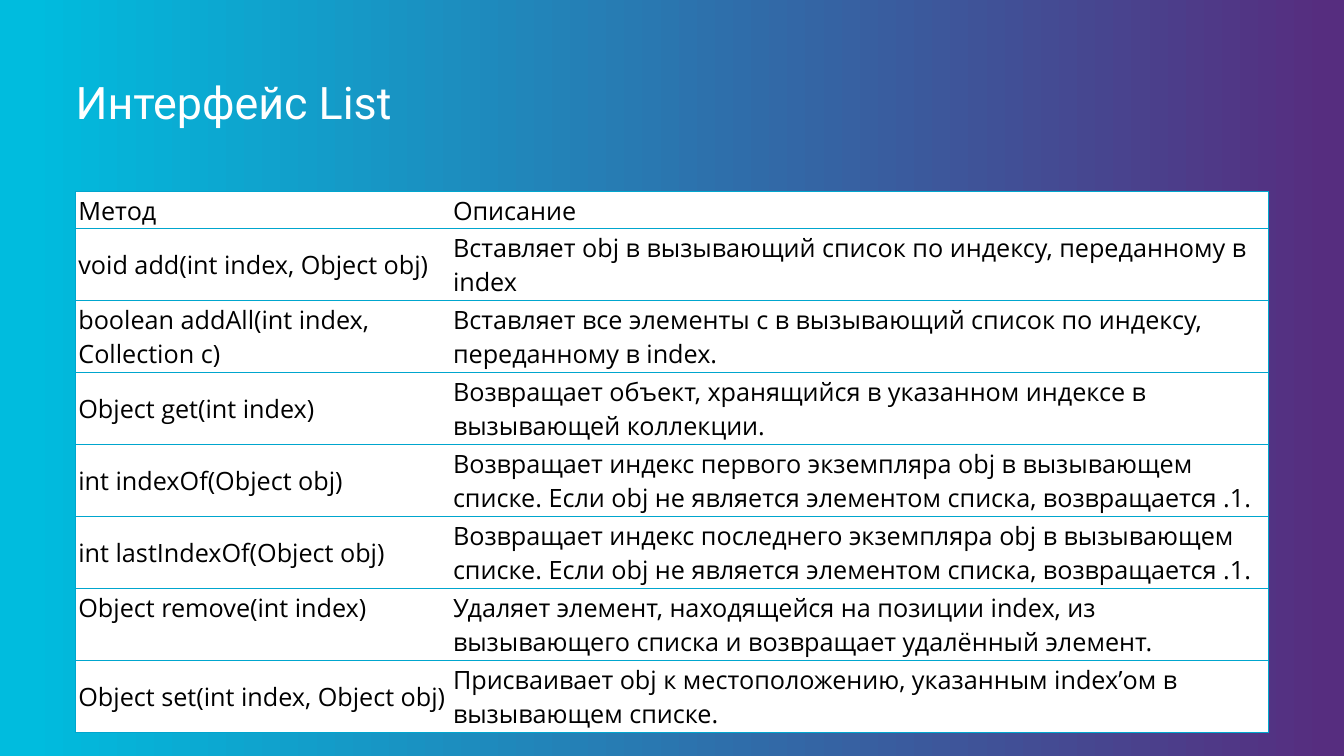
from lxml.etree import SubElement
from pptx import Presentation
from pptx.dml.color import RGBColor
from pptx.enum.text import MSO_ANCHOR
from pptx.oxml.ns import qn
from pptx.util import Pt

LINE = "00A6CE"
ROWS = [
    ("Метод", "Описание"),
    ("void add(int index, Object obj)",
     "Вставляет obj в вызывающий список по индексу, переданному в index"),
    ("boolean addAll(int index, Collection c)",
     "Вставляет все элементы c в вызывающий список по индексу, переданному в index."),
    ("Object get(int index)",
     "Возвращает объект, хранящийся в указанном индексе в вызывающей коллекции."),
    ("int indexOf(Object obj)",
     "Возвращает индекс первого экземпляра obj в вызывающем списке. "
     "Если obj не является элементом списка, возвращается .1."),
    ("int lastIndexOf(Object obj)",
     "Возвращает индекс последнего экземпляра obj в вызывающем списке. "
     "Если obj не является элементом списка, возвращается .1."),
    ("Object remove(int index)",
     "Удаляет элемент, находящейся на позиции index, из вызывающего списка "
     "и возвращает удалённый элемент."),
    ("Object set(int index, Object obj)",
     "Присваивает obj к местоположению, указанным index’ом в вызывающем списке."),
]
COL_WIDTHS = (267.6, 584.4)
HEADER_HEIGHT, ROW_HEIGHT = 26.4, 51.4
TOP_ALIGNED = "Object remove(int index)"


def rgb(color):
    return RGBColor.from_string(color)


def set_font(p, name, size, color):
    p.font.name = name
    p.font.size = Pt(size)
    p.font.color.rgb = rgb(color)


def set_background(s, stops):
    fill = s.background.fill
    fill.gradient()
    fill.gradient_angle = 180
    for stop, (position, color) in zip(fill.gradient_stops, stops):
        stop.position = position
        stop.color.rgb = rgb(color)


def add_title(s, text):
    tf = s.shapes.add_textbox(Pt(54), Pt(54), Pt(852), Pt(54)).text_frame
    tf.word_wrap = True
    tf.margin_left = 0
    p = tf.paragraphs[0]
    p.text = text
    p.line_spacing = 0.9
    set_font(p, "Roboto", 32, "FFFFFF")


def set_borders(cell, hidden_side):
    tc_pr = cell._tc.get_or_add_tcPr()
    for side in ("lnL", "lnR", "lnT", "lnB"):
        ln = SubElement(tc_pr, qn(f"a:{side}"), w=str(Pt(1)))
        if side == hidden_side:
            SubElement(ln, qn("a:noFill"))
        else:
            fill = SubElement(ln, qn("a:solidFill"))
            SubElement(fill, qn("a:srgbClr"), val=LINE)


def fill_cell(cell, text, hidden_side):
    set_borders(cell, hidden_side)
    cell.fill.solid()
    cell.fill.fore_color.rgb = rgb("FFFFFF")
    cell.margin_left = cell.margin_right = Pt(2)
    cell.margin_top = cell.margin_bottom = Pt(1.25)
    cell.vertical_anchor = MSO_ANCHOR.TOP if text == TOP_ALIGNED else MSO_ANCHOR.MIDDLE
    p = cell.text_frame.paragraphs[0]
    p.text = text
    set_font(p, "Open Sans", 18, "000000")


def add_method_table(s):
    heights = [HEADER_HEIGHT] + [ROW_HEIGHT] * (len(ROWS) - 1)
    table = s.shapes.add_table(len(ROWS), len(COL_WIDTHS), Pt(54), Pt(137),
                               Pt(sum(COL_WIDTHS)), Pt(sum(heights))).table
    table.first_row = table.horz_banding = False
    for column, width in zip(table.columns, COL_WIDTHS):
        column.width = Pt(width)
    for row, height, texts in zip(table.rows, heights, ROWS):
        row.height = Pt(height)
        # No line between the two columns
        for cell, text, hidden_side in zip(row.cells, texts, ("lnR", "lnL")):
            fill_cell(cell, text, hidden_side)


def main():
    prs = Presentation()
    prs.slide_width, prs.slide_height = Pt(960), Pt(540)
    s = prs.slides.add_slide(prs.slide_layouts[6])
    # Background and title
    set_background(s, [(0.01, "562D7F"), (0.98, "00BCDE")])
    add_title(s, "Интерфейс List")
    # Methods of the interface
    add_method_table(s)
    prs.save("out.pptx")


if __name__ == "__main__":
    main()
